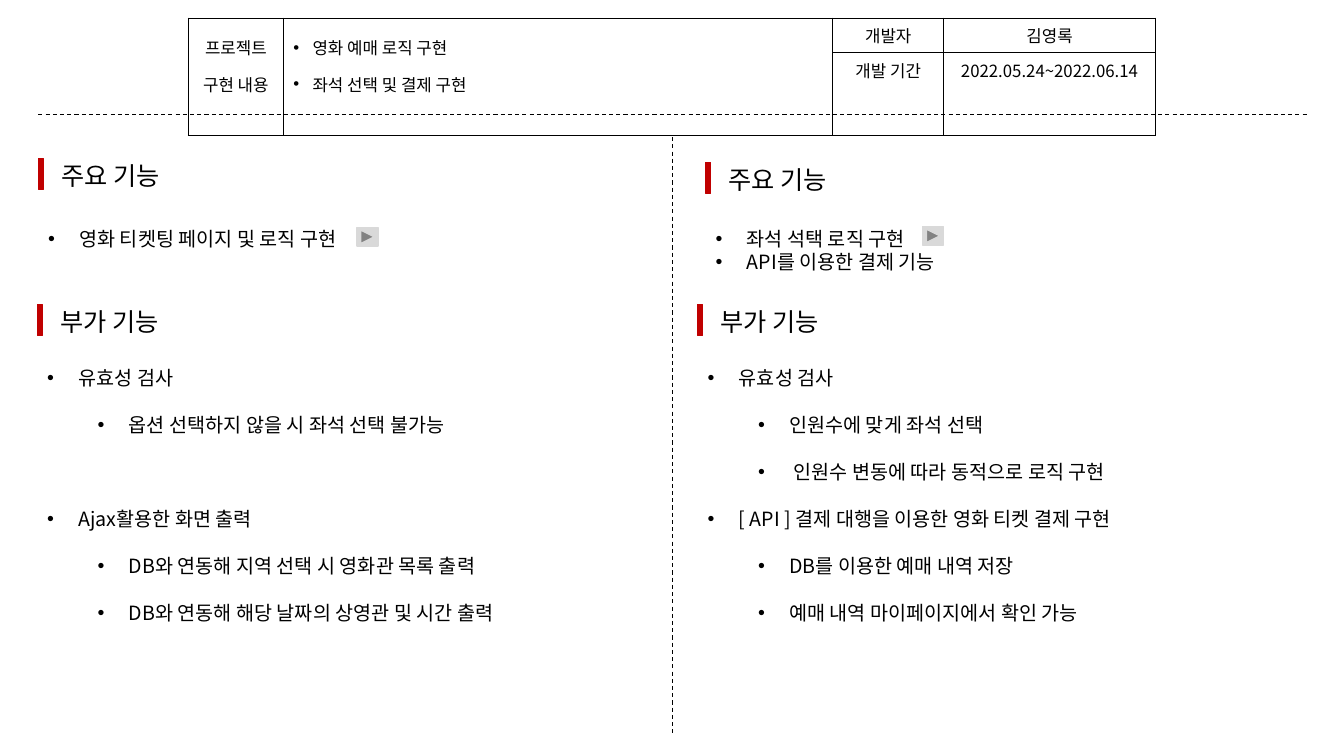
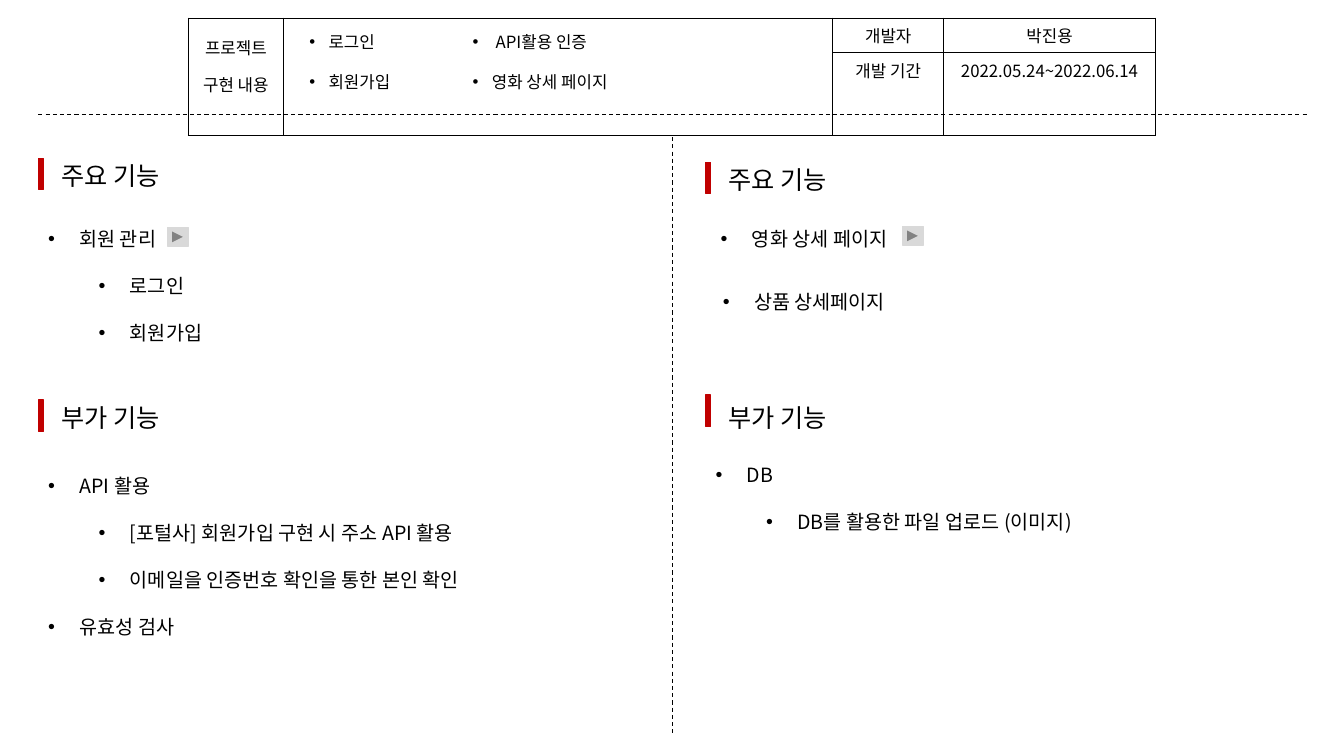
from lxml import etree
from pptx import Presentation
from pptx.dml.color import RGBColor
from pptx.enum.dml import MSO_LINE_DASH_STYLE as DASH
from pptx.enum.shapes import MSO_CONNECTOR as CONN, MSO_SHAPE as SHAPE
from pptx.enum.text import MSO_AUTO_SIZE as AUTO, PP_ALIGN as ALIGN
from pptx.oxml.ns import qn
from pptx.util import Inches, Pt

FONT = "Noto Sans CJK KR"
BLACK, RED, GRAY = "000000", "C00000", "D9D9D9"
LINE_FACTOR = 1.2
PERIOD = "2022.05.24~2022.06.14"
MAIN, EXTRA = "주요 기능", "부가 기능"


def rgb(hex_color):
    return RGBColor.from_string(hex_color)


class Deck:
    """Holds the shared style and the current slide."""

    def __init__(self):
        self.prs = Presentation()
        self.prs.slide_width = Inches(13.33)
        self.prs.slide_height = Inches(7.5)
        self.slide = None

    # Text
    def run(self, p, text, size):
        r = p.add_run()
        r.text = text
        r.font.size = Pt(size)
        r.font.name = FONT
        r.font.color.rgb = rgb(BLACK)
        etree.SubElement(r.font._element, qn("a:ea"), typeface=FONT)

    def bullet(self, p, margin, hang):
        pPr = p._p.get_or_add_pPr()
        pPr.set("marL", str(Inches(margin)))
        pPr.set("indent", str(-Inches(hang)))
        etree.SubElement(pPr, qn("a:buFont"), typeface="Arial")
        etree.SubElement(pPr, qn("a:buChar"), char="•")

    def text_box(self, x, y, w, size, lines):
        sp = self.slide.shapes.add_textbox(
            Inches(x), Inches(y), Inches(w),
            Inches(0.1 + lines * size * LINE_FACTOR / 72))
        tf = sp.text_frame
        tf.word_wrap = True
        tf.auto_size = AUTO.SHAPE_TO_FIT_TEXT
        tf.margin_top, tf.margin_bottom = Inches(0.07), Inches(0.03)
        return tf

    def bullets(self, x, y, items, w=5.91, size=14, hang=0.31):
        """Each item is (level, skipped lines before it, text)."""
        pitch = size * LINE_FACTOR
        lines = sum(1 + skip for _, skip, _ in items)
        tf = self.text_box(x, y, w, size, lines)
        for i, (level, skip, text) in enumerate(items):
            p = tf.add_paragraph() if i else tf.paragraphs[0]
            p.level = level
            p.line_spacing = Pt(pitch)
            if skip:
                p.space_before = Pt(pitch * skip)
            self.bullet(p, hang + 0.5 * level, hang)
            self.run(p, text, size)

    # Shapes and lines
    def shape(self, kind, x, y, w, h, color):
        sp = self.slide.shapes.add_shape(
            kind, Inches(x), Inches(y), Inches(w), Inches(h))
        sp.shadow.inherit = False
        sp.fill.solid()
        sp.fill.fore_color.rgb = rgb(color)
        sp.line.color.rgb = rgb(color)
        sp.line.width = Pt(1)

    def play_button(self, x, y):
        self.shape(SHAPE.ACTION_BUTTON_FORWARD_OR_NEXT, x, y, 0.21, 0.18, GRAY)

    def dashed_line(self, x1, y1, x2, y2):
        line = self.slide.shapes.add_connector(
            CONN.STRAIGHT, Inches(x1), Inches(y1), Inches(x2), Inches(y2))
        line.line.color.rgb = rgb(BLACK)
        line.line.width = Pt(0.75)
        line.line.dash_style = DASH.DASH
        etree.SubElement(line._element.spPr, qn("a:effectLst"))

    def section(self, x, y, title, bar_offset=0.05):
        self.shape(SHAPE.RECTANGLE, x, y + bar_offset, 0.05, 0.31, RED)
        p = self.text_box(x + 0.13, y, 2.23, 18, 1).paragraphs[0]
        p.line_spacing = Pt(18 * LINE_FACTOR)
        self.run(p, title, 18)

    # Header table
    def cell(self, cell, lines, bulleted=False, spacing=None):
        tcPr = cell._tc.get_or_add_tcPr()
        for side in ("lnL", "lnR", "lnT", "lnB"):
            ln = etree.SubElement(tcPr, qn("a:" + side), w=str(Pt(1)))
            fill = etree.SubElement(ln, qn("a:solidFill"))
            etree.SubElement(fill, qn("a:srgbClr"), val=BLACK)
        cell.fill.background()
        tf = cell.text_frame
        for i, text in enumerate(lines):
            p = tf.add_paragraph() if i else tf.paragraphs[0]
            if spacing:
                p.line_spacing = spacing
            if bulleted:
                self.bullet(p, 0.19, 0.19)
            else:
                p.alignment = ALIGN.CENTER
            self.run(p, text, 12)

    def header(self, developer, work):
        tbl = self.slide.shapes.add_table(
            2, 4, Inches(1.87), Inches(0.18), Inches(9.59), Inches(0.73)).table
        tbl.first_row = tbl.horz_banding = False
        for col, w in zip(tbl.columns, (0.94, 5.45, 1.1, 2.1)):
            col.width = Inches(w)
        for row, h in zip(tbl.rows, (0.22, 0.51)):
            row.height = Inches(h)
        for c in (0, 1):
            tbl.cell(0, c).merge(tbl.cell(1, c))
            self.cell(tbl.cell(1, c), [])
        self.cell(tbl.cell(0, 0), ["프로젝트", "구현 내용"], spacing=1.5)
        self.cell(tbl.cell(0, 1), work, bulleted=True, spacing=1.5)
        facts = (("개발자", developer), ("개발 기간", PERIOD))
        for r, pair in enumerate(facts):
            for c, text in enumerate(pair, 2):
                self.cell(tbl.cell(r, c), [text])

    def new_slide(self, developer, work=()):
        self.slide = self.prs.slides.add_slide(self.prs.slide_layouts[6])
        self.dashed_line(0.38, 1.14, 12.97, 1.14)
        self.header(developer, work)
        self.dashed_line(6.67, 1.36, 6.67, 7.29)
        self.section(0.38, 1.52, MAIN)
        self.section(7, 1.56, MAIN)


def booking_slide(deck):
    deck.new_slide("김영록", ["영화 예매 로직 구현", "좌석 선택 및 결제 구현"])
    for x in (0.37, 6.92):
        deck.section(x, 2.97, EXTRA)

    # Main features
    deck.bullets(0.38, 2.18, [(0, 0, "영화 티켓팅 페이지 및 로직 구현")])
    deck.bullets(7, 2.18, [(0, 0, "좌석 석택 로직 구현"),
                           (0, 0, "API를 이용한 결제 기능")])
    deck.play_button(3.54, 2.26)
    deck.play_button(9.15, 2.25)

    # Extra features
    deck.bullets(0.37, 3.56, [
        (0, 0, "유효성 검사"),
        (1, 1, "옵션 선택하지 않을 시 좌석 선택 불가능"),
        (0, 3, "Ajax활용한 화면 출력"),
        (1, 1, "DB와 연동해 지역 선택 시 영화관 목록 출력"),
        (1, 1, "DB와 연동해 해당 날짜의 상영관 및 시간 출력")])
    deck.bullets(6.92, 3.56, [
        (0, 0, "유효성 검사"),
        (1, 1, "인원수에 맞게 좌석 선택"),
        (1, 1, " 인원수 변동에 따라 동적으로 로직 구현"),
        (0, 1, "[ API ] 결제 대행을 이용한 영화 티켓 결제 구현"),
        (1, 1, "DB를 이용한 예매 내역 저장"),
        (1, 1, "예매 내역 마이페이지에서 확인 가능")])


def member_slide(deck):
    deck.new_slide("박진용")
    deck.section(0.38, 3.92, EXTRA)
    deck.section(7, 3.92, EXTRA, bar_offset=0)

    # Work list over the header
    work = ((2.97, "로그인", "회원가입"),
            (4.59, " API활용 인증", "영화 상세 페이지"))
    for x, first, second in work:
        deck.bullets(x, 0.24, [(0, 0, first), (0, 1, second)],
                     w=1.8, size=12, hang=0.19)

    # Main features
    deck.bullets(0.38, 2.18, [(0, 0, "회원 관리"), (1, 1, "로그인"),
                              (1, 1, "회원가입")])
    deck.bullets(7.05, 2.18, [(0, 0, "영화 상세 페이지")])
    deck.bullets(7.07, 2.81, [(0, 0, "상품 상세페이지")])
    deck.play_button(1.66, 2.26)
    deck.play_button(8.95, 2.25)

    # Extra features
    deck.bullets(0.38, 4.63, [
        (0, 0, "API 활용"),
        (1, 1, "[포털사] 회원가입 구현 시 주소 API 활용"),
        (1, 1, "이메일을 인증번호 확인을 통한 본인 확인"),
        (0, 1, "유효성 검사")])
    deck.bullets(7, 4.52, [(0, 0, "DB"),
                           (1, 1, "DB를 활용한 파일 업로드 (이미지)")])


def main():
    deck = Deck()
    booking_slide(deck)
    member_slide(deck)
    deck.prs.save("out.pptx")


if __name__ == "__main__":
    main()
